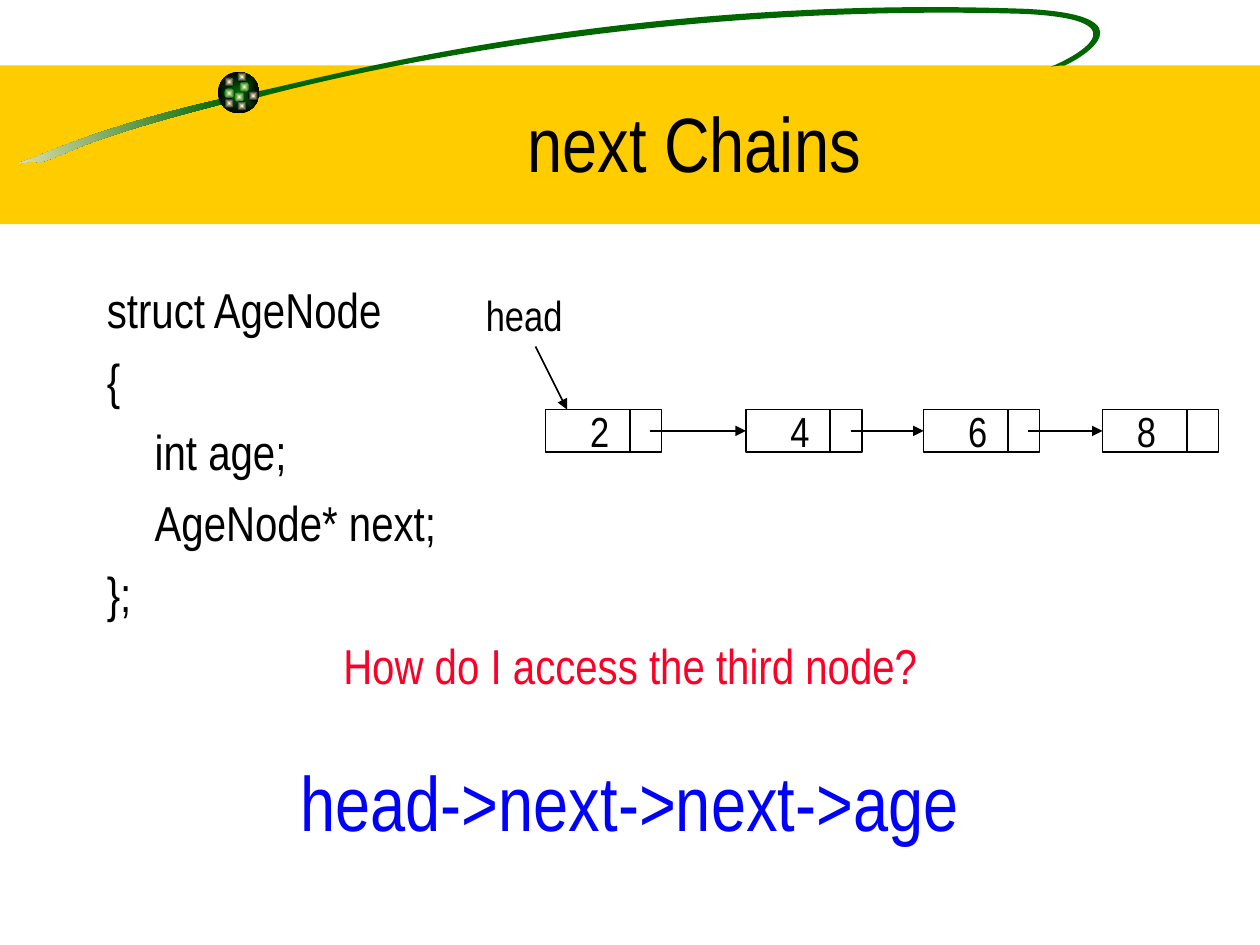
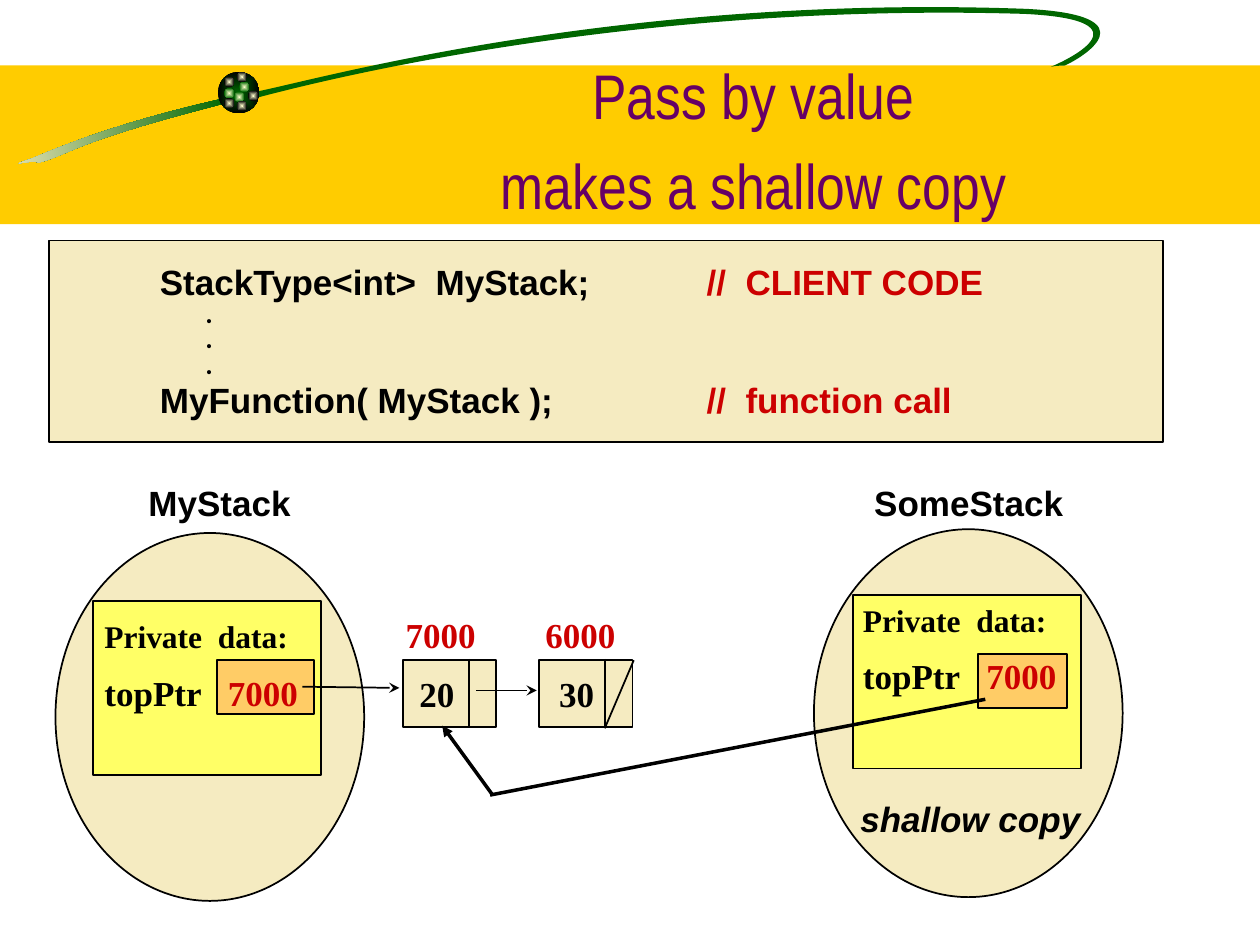
from math import cos, radians, sin

from lxml import etree
from pptx import Presentation
from pptx.dml.color import RGBColor
from pptx.enum.shapes import MSO_CONNECTOR, MSO_SHAPE
from pptx.enum.text import MSO_ANCHOR, PP_ALIGN
from pptx.oxml.ns import qn
from pptx.util import Inches, Pt

BLACK = RGBColor(0x00, 0x00, 0x00)
WHITE = RGBColor(0xFF, 0xFF, 0xFF)
GOLD = RGBColor(0xFF, 0xCC, 0x00)
GREEN = RGBColor(0x00, 0x66, 0x00)
CREAM = RGBColor(0xF5, 0xEB, 0xC1)
PALE = RGBColor(0xFF, 0xFF, 0xCC)
YELLOW = RGBColor(0xFF, 0xFF, 0x66)
ORANGE = RGBColor(0xFF, 0xCC, 0x66)
PURPLE = RGBColor(0x66, 0x00, 0x66)
BLUE = RGBColor(0x00, 0x00, 0xFF)
SCARLET = RGBColor(0xFC, 0x01, 0x28)
RED = RGBColor(0xCC, 0x00, 0x00)

NARROW, SANS, SERIF, DOTS = "Arial Narrow", "Arial", "Times New Roman", "Montserrat"

TILT = 8.5  # degrees the swoosh rises to the right
# Each outline: frame, start point, cubic curves (two control points and an end)
TAIL = [(-0.03, 0.91, 1.84, 0.3), (1.78, 0.78), [
    (0.91, 0.98, 0.49, 1.16, 0.25, 1.26), (0.01, 1.34, 0.26, 1.26, 0.31, 1.29),
    (0.57, 1.22, 0.57, 1.13, 1.79, 0.82), (1.79, 0.82, 1.78, 0.78, 1.78, 0.78)]]
LOOP = [(2.01, -0.15, 7.16, 1.09), (2.02, 0.73), [
    (2.46, 0.65, 4.86, -0.05, 8.14, 0.07), (9.17, 0.12, 8.57, 0.47, 8.45, 0.52),
    (8.45, 0.52, 8.38, 0.52, 8.34, 0.53), (8.44, 0.49, 9.16, 0.16, 8.13, 0.11),
    (5.48, 0.03, 3.2, 0.47, 2.06, 0.77), (2.06, 0.77, 2.02, 0.73, 2.02, 0.73)]]
SPARKS = [(1.9, 0.65, GREEN), (1.78, 0.61, BLACK), (1.78, 0.7, GREEN),
          (1.86, 0.73, GREEN), (1.97, 0.72, BLACK), (1.88, 0.8, BLACK),
          (1.78, 0.78, BLACK), (1.88, 0.57, BLACK)]


def add_text(page, at, paras, **style):
    """Each paragraph is a string or a list of (text, format overrides) spans."""
    box = page.shapes.add_textbox(*map(Inches, at))
    frame = box.text_frame
    frame.word_wrap = True
    frame.vertical_anchor = style.get("anchor", MSO_ANCHOR.TOP)
    for number, content in enumerate(paras):
        spans = [(content, {})] if isinstance(content, str) else content
        para = frame.add_paragraph() if number else frame.paragraphs[0]
        form = style | spans[0][1]
        para.alignment = form.get("align", PP_ALIGN.LEFT)
        para.space_before = Pt(form.get("before", 0))
        properties = para._p.get_or_add_pPr()
        properties.set("marL", str(Inches(form.get("indent", 0))))
        if "tabs" in form:
            stops = etree.SubElement(properties, qn("a:tabLst"))
            for tab in form["tabs"]:
                etree.SubElement(stops, qn("a:tab"), pos=str(Inches(tab)), algn="l")
        for text, overrides in spans:
            form = style | overrides
            span = para.add_run()
            span.text = text
            span.font.name = form["font"]
            span.font.size = Pt(form["size"])
            span.font.bold = form.get("bold", False)
            span.font.italic = form.get("italic", False)
            span.font.color.rgb = form.get("color", BLACK)


def add_shape(page, kind, at, fill=None, outlined=True):
    """A pair of colours as fill runs from the centre outwards."""
    shape = page.shapes.add_shape(kind, *map(Inches, at))
    shape.shadow.inherit = False
    if fill is None:
        shape.fill.background()
    elif isinstance(fill, RGBColor):
        shape.fill.solid()
        shape.fill.fore_color.rgb = fill
    else:
        shape.fill.gradient()
        for stop, color, position in zip(shape.fill.gradient_stops, fill, (0, 1)):
            stop.color.rgb = color
            stop.position = position
        linear = shape._element.spPr.find(".//" + qn("a:lin"))
        radial = etree.Element(qn("a:path"))
        radial.set("path", "rect")
        etree.SubElement(radial, qn("a:fillToRect"), l="50000", t="50000",
                         r="50000", b="50000")
        linear.getparent().replace(linear, radial)
    if outlined:
        shape.line.color.rgb = BLACK
        shape.line.width = Pt(1)
    else:
        shape.line.fill.background()
    return shape


deck = Presentation()
deck.slide_width, deck.slide_height = Inches(10), Inches(7.5)
chains, copies = [deck.slides.add_slide(deck.slide_layouts[6]) for _ in range(2)]

# Shared band, swoosh, orb and veil
for page in (chains, copies):
    add_shape(page, MSO_SHAPE.RECTANGLE, (0, 0.52, 10, 1.26), GOLD, outlined=False)
    for frame, start, curves in (TAIL, LOOP):
        left, top, width, height = frame
        turn_cos, turn_sin = cos(radians(TILT)), sin(radians(TILT))
        points = []  # relative to the frame before it is tilted
        for x, y in [start] + [curve[i:i + 2] for curve in curves for i in (0, 2, 4)]:
            dx, dy = x - left - width / 2, y - top - height / 2
            points.append((Inches(width / 2 + dx * turn_cos - dy * turn_sin),
                           Inches(height / 2 + dx * turn_sin + dy * turn_cos)))
        outline = page.shapes.build_freeform(*points[0])
        outline.add_line_segments(points[3::3], close=True)
        swoosh = outline.convert_to_shape()
        swoosh.left, swoosh.top, swoosh.width, swoosh.height = map(Inches, frame)
        swoosh.rotation = 360 - TILT
        track = swoosh._element.spPr.find(".//" + qn("a:path"))
        track.set("w", str(Inches(width)))
        track.set("h", str(Inches(height)))
        for step in list(track):
            track.remove(step)
        steps = [("a:moveTo", points[:1])]
        steps += [("a:cubicBezTo", points[i:i + 3]) for i in range(1, len(points), 3)]
        for tag, targets in steps + [("a:close", [])]:
            step = etree.SubElement(track, qn(tag))
            for x, y in targets:
                etree.SubElement(step, qn("a:pt"), x=str(x), y=str(y))
        swoosh.shadow.inherit = False
        swoosh.line.fill.background()
        if frame is TAIL[0]:
            swoosh.fill.gradient()
            swoosh.fill.gradient_angle = 180
            for stop, color, position in zip(swoosh.fill.gradient_stops, (GREEN, CREAM), (0, 1)):
                stop.color.rgb = color
                stop.position = position
        else:
            swoosh.fill.solid()
            swoosh.fill.fore_color.rgb = GREEN
    add_shape(page, MSO_SHAPE.OVAL, (1.73, 0.57, 0.33, 0.33), (GREEN, BLACK), outlined=False)
    for x, y, edge in SPARKS:
        add_shape(page, MSO_SHAPE.OVAL, (x, y, 0.08, 0.08), (PALE, edge), outlined=False)
    veil = add_shape(page, MSO_SHAPE.RECTANGLE, (0.74, 2.06, 1.22, 5.44), WHITE, outlined=False)
    etree.SubElement(veil._element.spPr.find(".//" + qn("a:srgbClr")), qn("a:alpha"), val="50000")

lines = []  # page, start, end, width, arrowhead, (joined shape, side)

# Slide 1: chain of nodes
add_text(chains, (1.26, 0.5, 8.5, 1.25), ["next Chains"], font=NARROW, size=44,
         align=PP_ALIGN.CENTER, anchor=MSO_ANCHOR.MIDDLE)
add_text(chains, (0.75, 2.17, 8.5, 3.58), [
    "struct AgeNode",
    "{",
    [("int age;", {"indent": 0.38})],
    [("AgeNode* next;", {"indent": 0.38})],
    "};",
    [("How do I access the third node?", {"color": SCARLET, "align": PP_ALIGN.CENTER})],
], font=NARROW, size=28, before=7)

node_lefts = (4.33, 5.92, 7.33, 8.75)
for number, left in enumerate(node_lefts):
    node = add_shape(chains, MSO_SHAPE.RECTANGLE, (left, 3.25, 0.92, 0.34))
    lines.append((chains, (left + 0.67, 3.25), (left + 0.67, 3.59), 1, None, None))
    if number:
        lines.append((chains, (node_lefts[number - 1] + 0.83, 3.42), (left, 3.42),
                      1, "triangle", (node, 1)))
for age, center in zip("2468", (4.76, 6.35, 7.76, 9.1)):
    add_text(chains, (center - 0.2, 3.17, 0.4, 0.5), [age], font=NARROW, size=24,
             align=PP_ALIGN.CENTER, anchor=MSO_ANCHOR.BOTTOM)

add_text(chains, (3.71, 2.25, 0.9, 0.5), ["head"], font=NARROW, size=24,
         align=PP_ALIGN.CENTER, anchor=MSO_ANCHOR.BOTTOM)
lines.append((chains, (4.25, 2.75), (4.5, 3.25), 1, "triangle", None))
add_text(chains, (2.2, 5.94, 5.6, 0.83), ["head->next->next->age"], font=NARROW, size=44,
         color=BLUE, align=PP_ALIGN.CENTER, anchor=MSO_ANCHOR.BOTTOM)

# Slide 2: client code
add_shape(copies, MSO_SHAPE.RECTANGLE, (0.39, 1.91, 8.84, 1.6), CREAM)
add_text(copies, (1.98, 0.5, 8, 1.31),
         ["Pass by value", [("makes a shallow copy", {"before": 8})]],
         font=NARROW, size=36, color=PURPLE, align=PP_ALIGN.CENTER, anchor=MSO_ANCHOR.BOTTOM)
dot = [(".", {"font": DOTS, "size": 12, "indent": 0.37})]
add_text(copies, (1.17, 2.02, 6.85, 1.37), [
    [("StackType<int>  MyStack;\t", {}), ("//  CLIENT CODE", {"color": RED})],
    dot, dot, dot,
    [("MyFunction( MyStack );\t", {}), ("//  function call", {"color": RED})],
], font=SANS, size=20, bold=True, tabs=[4.34])

# Slide 2: the two stack objects
add_text(copies, (1.08, 3.77, 7.6, 0.43), ["MyStack\tSomeStack"], font=SANS, size=20,
         bold=True, tabs=[5.76])
addresses = ("\t7000\t6000", {"color": RED})
stacks = [
    ((0.44, 4.23), (0.74, 4.77), (1.72, 5.24, 0.77, 0.43), (0.73, 4.82, 4.51, 1.2), [addresses]),
    ((6.46, 4.2), (6.77, 4.72), (7.76, 5.19, 0.71, 0.43), (6.75, 4.72, 3.14, 1.16), []),
]
for oval, data, pointer, text_at, extra in stacks:
    add_shape(copies, MSO_SHAPE.OVAL, (*oval, 2.45, 2.92), CREAM)
    add_shape(copies, MSO_SHAPE.RECTANGLE, (*data, 1.81, 1.38), YELLOW)
    add_shape(copies, MSO_SHAPE.RECTANGLE, pointer, ORANGE)
    add_text(copies, text_at, [
        [("Private  data:", {"size": 18, "tabs": [2.39, 3.5]})] + extra,
        [("topPtr\t", {"before": 9, "tabs": [0.98]}), ("7000", {"color": RED})],
    ], font=SERIF, size=20, bold=True)
add_text(copies, (6.73, 6.28, 2.1, 0.43), ["shallow copy"], font=SANS, size=20,
         bold=True, italic=True)

# Slide 2: linked nodes
for left in (3.2, 4.28):
    add_shape(copies, MSO_SHAPE.RECTANGLE, (left, 5.24, 0.74, 0.53), CREAM)
    lines.append((copies, (left + 0.52, 5.23), (left + 0.52, 5.77), 1, None, None))
add_text(copies, (3.23, 5.29, 1.62, 0.41), ["20\t30"], font=SERIF, size=20, bold=True,
         tabs=[1.11])
lines += [
    (copies, (5.03, 5.24), (4.8, 5.78), 1, None, None),
    (copies, (2.4, 5.45), (3.17, 5.46), 1, "stealth", None),
    (copies, (3.78, 5.48), (4.26, 5.48), 1, "stealth", None),
    (copies, (7.82, 5.55), (3.89, 6.31), 2, None, None),
    (copies, (3.91, 6.31), (3.51, 5.76), 2, "triangle", None),
]

for page, start, end, width, arrowhead, joined in lines:
    line = page.shapes.add_connector(MSO_CONNECTOR.STRAIGHT, *map(Inches, start + end))
    line.line.color.rgb = BLACK
    line.line.width = Pt(width)
    if joined:
        line.end_connect(*joined)
    if arrowhead:
        etree.SubElement(line.line._get_or_add_ln(), qn("a:tailEnd"), type=arrowhead)
    etree.SubElement(line._element.spPr, qn("a:effectLst"))

deck.save("out.pptx")
